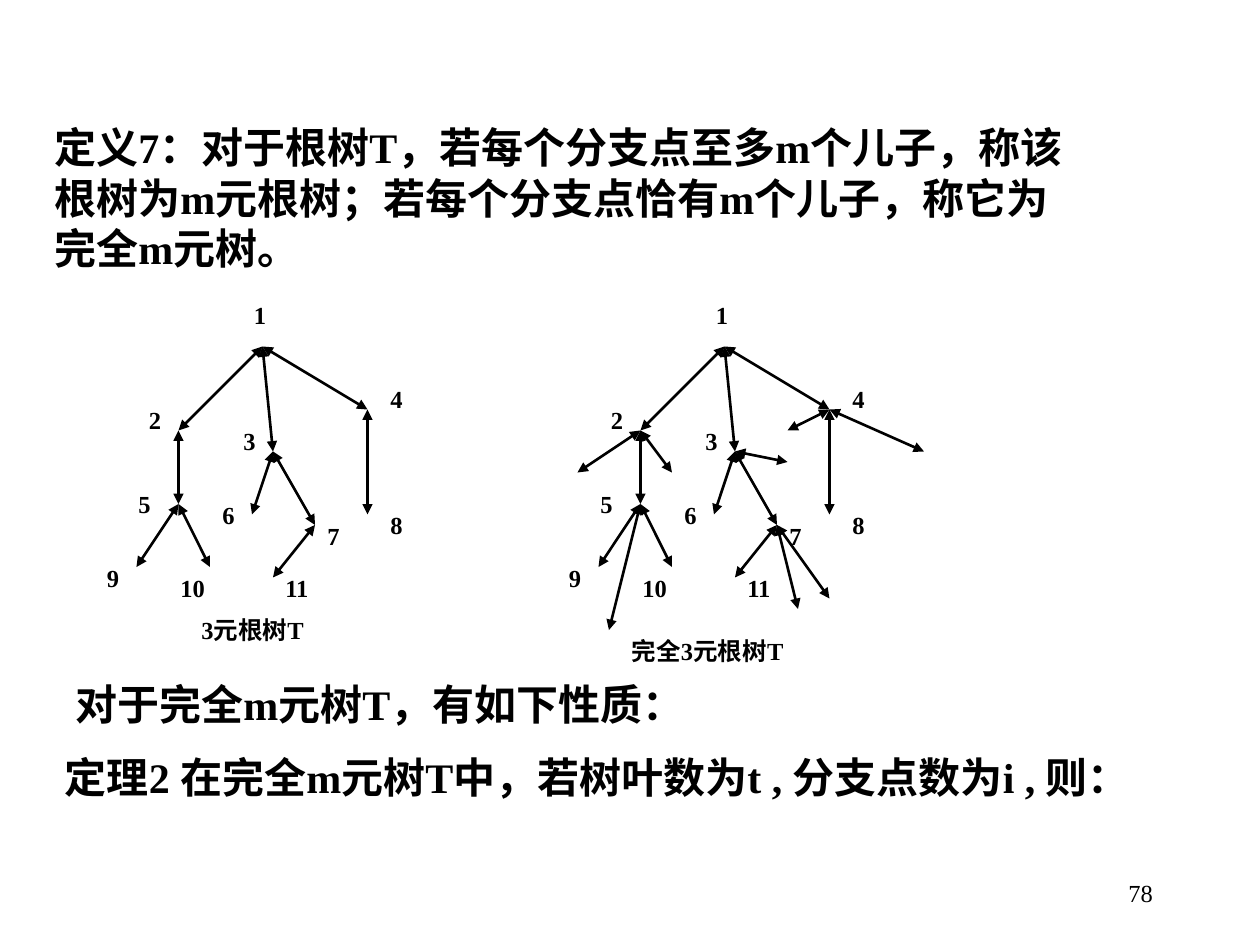
"""Build a slide defining m-ary rooted trees, with two sample trees."""
from dataclasses import dataclass

from lxml import etree
from pptx import Presentation
from pptx.dml.color import RGBColor
from pptx.enum.shapes import MSO_CONNECTOR
from pptx.enum.text import MSO_ANCHOR, MSO_AUTO_SIZE, PP_ALIGN
from pptx.oxml.ns import qn
from pptx.util import Pt

STRAIGHT = MSO_CONNECTOR.STRAIGHT
TOP, MIDDLE = MSO_ANCHOR.TOP, MSO_ANCHOR.MIDDLE
LEFT, RIGHT = PP_ALIGN.LEFT, PP_ALIGN.RIGHT
GROW, FIXED = MSO_AUTO_SIZE.SHAPE_TO_FIT_TEXT, MSO_AUTO_SIZE.NONE
SCALE = 7620
WIDTH, HEIGHT = 1200, 900
COLORS = {"ink": "000000"}
BODY = {"name": "Times New Roman", "size": Pt(24), "bold": True}
LABEL = {**BODY, "size": Pt(14)}
PAGE = {**LABEL, "bold": False}


@dataclass(frozen=True)
class Label:
    """Text in a box, in px."""
    text: str
    x: int
    y: int
    w: int = 40
    h: int = 41


@dataclass(frozen=True)
class Tree:
    """A tree moved right by dx, with its extra leaves and caption."""
    dx: int
    extra: tuple
    title: Label


NODES = {
    1: (250, 330), 2: (170, 410), 3: (260, 430), 4: (350, 390),
    5: (170, 480), 6: (240, 490), 7: (300, 500), 8: (350, 490),
    9: (130, 540), 10: (200, 540), 11: (260, 550),
}
EDGES = ((1, 2), (1, 3), (1, 4), (2, 5), (5, 9), (5, 10),
         (3, 6), (3, 7), (7, 11), (4, 8))
LABELS = (
    Label("1", 230, 280), Label("2", 130, 380), Label("3", 220, 400),
    Label("4", 360, 360), Label("5", 120, 460), Label("6", 200, 470),
    Label("7", 300, 490), Label("8", 360, 480), Label("9", 90, 530),
    Label("10", 160, 540, 60), Label("11", 260, 540, 50),
)
EXTRA = ((2, (110, 450)), (2, (200, 450)), (3, (310, 440)),
         (4, (310, 410)), (4, (440, 430)), (5, (140, 600)),
         (7, (350, 570)), (7, (320, 580)))
TREES = (
    Tree(0, (), Label("3元根树T", 180, 580, 162)),
    Tree(440, EXTRA, Label("完全3元根树T", 150, 600, 310)),
)
TEXTS = (
    Label("定义7：对于根树T，若每个分支点至多m个儿子，称该根树为m元根树；"
          "若每个分支点恰有m个儿子，称它为完全m元树。", 40, 110, 1010, 156),
    Label("对于完全m元树T，有如下性质：", 60, 640, 1010, 60),
    Label("定理2 在完全m元树T中，若树叶数为t , 分支点数为i , 则：",
          50, 710, 1080, 108),
)
NUMBER = Label("78", 860, 820, 250, 60)


def px(val: int) -> int:
    """Turn px into EMU."""
    return val * SCALE


def write(shapes, item: Label, style: dict, dx: int = 0, align=LEFT,
          anchor=TOP, fit=GROW) -> None:
    """Add one text box."""
    box = shapes.add_textbox(px(item.x + dx), px(item.y), px(item.w), px(item.h))
    frame = box.text_frame
    for key, val in {"word_wrap": True, "auto_size": fit,
                     "vertical_anchor": anchor}.items():
        setattr(frame, key, val)
    para = frame.paragraphs[0]
    para.alignment = align
    run = para.add_run()
    run.text = item.text
    for key, val in style.items():
        setattr(run.font, key, val)
    run.font.color.rgb = RGBColor.from_string(COLORS["ink"])


def link(shapes, start: tuple, end: tuple, dx: int) -> None:
    """Add one line with an arrowhead at both ends."""
    arrow = shapes.add_connector(STRAIGHT, px(start[0] + dx), px(start[1]),
                                 px(end[0] + dx), px(end[1]))
    arrow.line.width = Pt(1.5)
    arrow.line.color.rgb = RGBColor.from_string(COLORS["ink"])
    props = arrow.line._get_or_add_ln()
    for tag in ("a:headEnd", "a:tailEnd"):
        etree.SubElement(props, qn(tag), type="triangle")
    etree.SubElement(arrow._element.spPr, qn("a:effectLst"))


def plant(shapes, tree: Tree) -> None:
    """Add one tree as a group."""
    group = shapes.add_group_shape().shapes
    pairs = [(top, NODES[low]) for top, low in EDGES] + list(tree.extra)
    for top, end in pairs:
        link(group, NODES[top], end, tree.dx)
    for item in (*LABELS, tree.title):
        write(group, item, LABEL, tree.dx)


def main() -> None:
    """Build and save the deck."""
    deck = Presentation()
    deck.slide_width, deck.slide_height = px(WIDTH), px(HEIGHT)
    shapes = deck.slides.add_slide(deck.slide_layouts[6]).shapes
    write(shapes, NUMBER, PAGE, align=RIGHT, anchor=MIDDLE, fit=FIXED)
    for tree in TREES:
        plant(shapes, tree)
    for item in TEXTS:
        write(shapes, item, BODY)
    deck.save("out.pptx")


if __name__ == "__main__":
    main()
